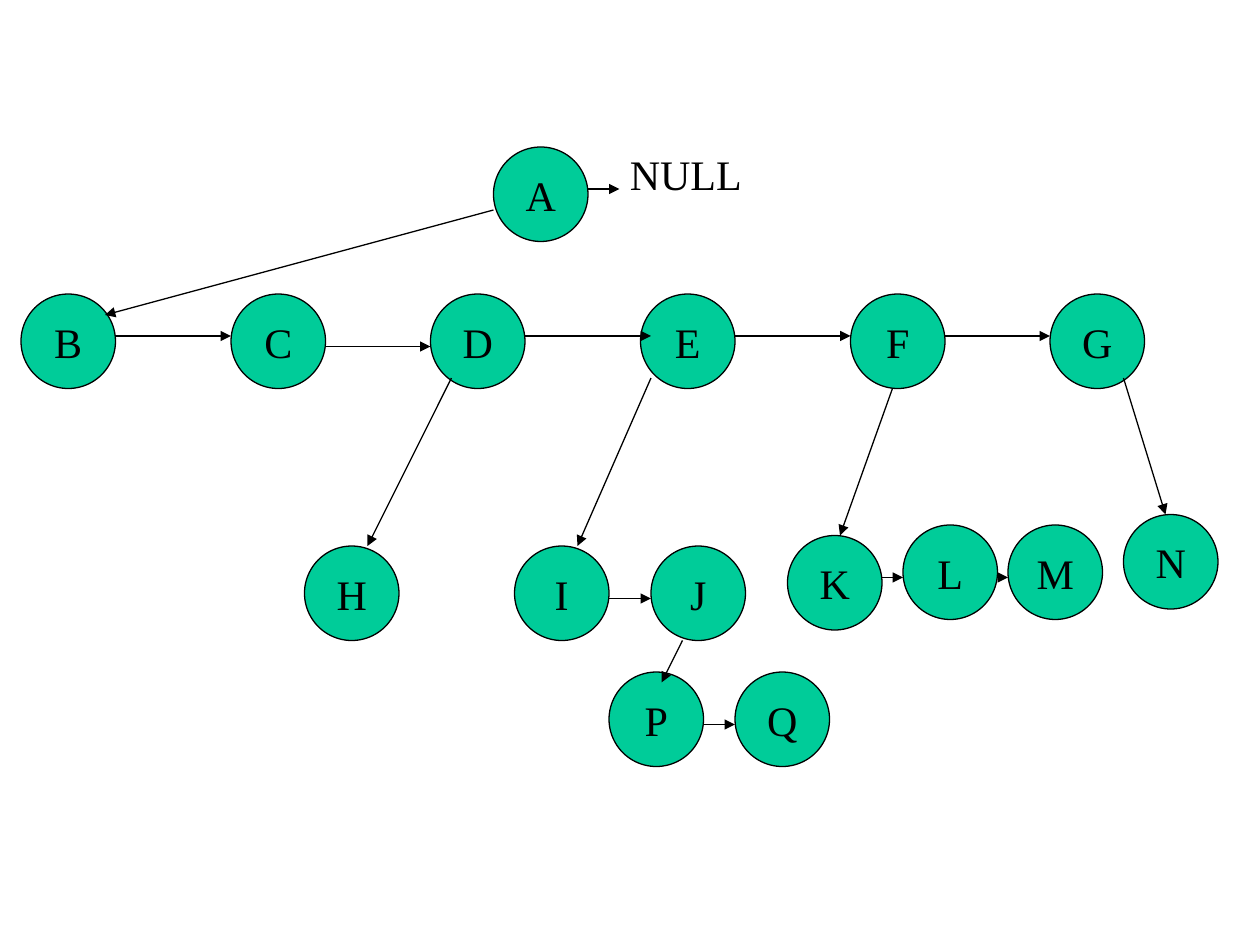
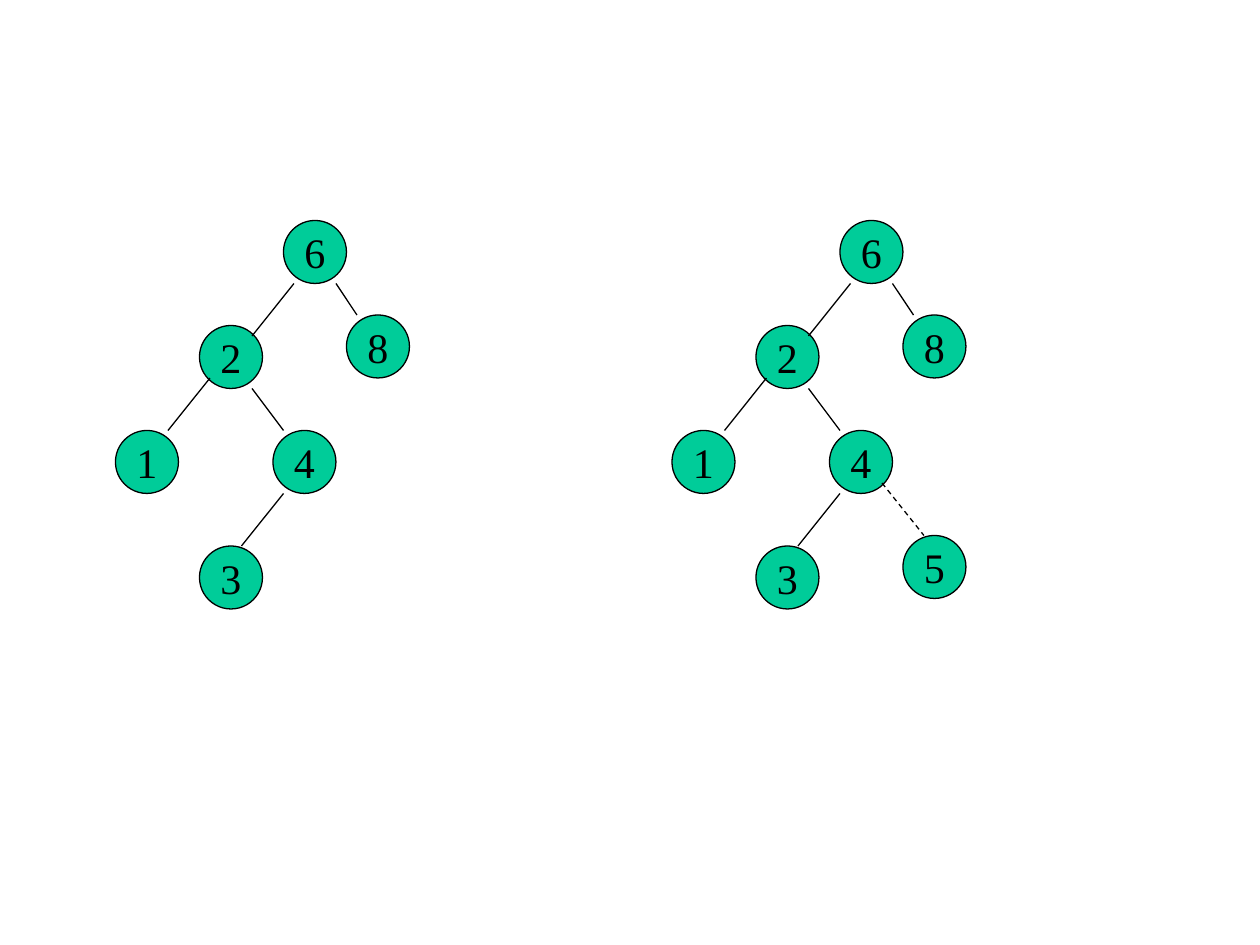
from lxml import etree
from pptx import Presentation
from pptx import util as u
from pptx.dml import color
from pptx.enum import dml, shapes, text
from pptx.oxml import ns

COLOURS = {"node": "00CC99", "ink": "000000"}
FONT = "Times New Roman"
FONT_SIZE = 24
LINE_WIDTH = 0.75

LETTER_SIZE = 54
CHILD_ROW_TOP = 168
LETTERS = {
    "A": (282, 84),
    **{name: (left, CHILD_ROW_TOP)
       for name, left in zip("BCDEFG", (12, 132, 246, 366, 486, 600))},
    "H": (174, 312), "I": (294, 312), "J": (372, 312),
    "K": (450, 306), "L": (516, 300), "M": (576, 300), "N": (642, 294),
    "P": (348, 384), "Q": (420, 384),
}
FIRST_CHILD_LINKS = [
    (282, 120, 60, 180), (258, 216, 210, 312), (372, 216, 330, 312),
    (390, 366, 378, 390), (510, 222, 480, 306), (642, 216, 666, 294),
]
SIBLING_LINKS = [
    (336, 354, 108), (66, 132, 192), (186, 246, 198), (300, 372, 192),
    (420, 486, 192), (540, 600, 192), (348, 372, 342), (402, 420, 414),
    (504, 516, 330), (570, 576, 330),
]

NUMBER_SIZE = 36
TREE_SHIFT = 318
NUMBERS = {
    "6": (162, 126), "2": (114, 186), "8": (198, 180),
    "1": (66, 246), "4": (156, 246), "3": (114, 312),
}
BRANCHES = [
    (168, 162, 144, 192), (192, 162, 204, 180), (120, 216, 96, 246),
    (144, 222, 162, 246), (162, 282, 138, 312),
]


def rgb(name):
    """Return the named colour."""
    return color.RGBColor.from_string(COLOURS[name])


def write(box, words, align=text.PP_ALIGN.LEFT, anchor=text.MSO_ANCHOR.TOP,
          fit=text.MSO_AUTO_SIZE.NONE, size=FONT_SIZE, ink="ink"):
    """Put formatted, unwrapped words in a box."""
    frame = box.text_frame
    frame.word_wrap = False
    frame.auto_size = fit
    frame.vertical_anchor = anchor
    para = frame.paragraphs[0]
    para.alignment = align
    span = para.add_run()
    span.text = words
    span.font.name = FONT
    span.font.size = u.Pt(size)
    span.font.color.rgb = rgb(ink)


def add_node(canvas, label, left, top, size):
    """Draw a labelled circle."""
    node = canvas.add_shape(shapes.MSO_SHAPE.OVAL, u.Pt(left), u.Pt(top),
                            u.Pt(size), u.Pt(size))
    node.shadow.inherit = False
    node.fill.solid()
    node.fill.fore_color.rgb = rgb("node")
    node.line.color.rgb = rgb("ink")
    node.line.width = u.Pt(LINE_WIDTH)
    write(node, label, align=text.PP_ALIGN.CENTER,
          anchor=text.MSO_ANCHOR.MIDDLE)


def add_link(canvas, ends, arrow=False, dashed=False):
    """Draw a straight line between two points."""
    link = canvas.add_connector(shapes.MSO_CONNECTOR.STRAIGHT,
                                *[u.Pt(value) for value in ends])
    link.line.color.rgb = rgb("ink")
    link.line.width = u.Pt(LINE_WIDTH)
    if dashed:
        link.line.dash_style = dml.MSO_LINE.DASH
    if arrow:
        etree.SubElement(link.line._get_or_add_ln(), ns.qn("a:tailEnd"),
                         type="triangle")
    etree.SubElement(link._element.spPr, ns.qn("a:effectLst"))


def add_label(canvas, words, left, top, width, height):
    """Add a text box that fits its words."""
    box = canvas.add_textbox(u.Pt(left), u.Pt(top), u.Pt(width), u.Pt(height))
    write(box, words, fit=text.MSO_AUTO_SIZE.SHAPE_TO_FIT_TEXT)


def add_number_tree(canvas, shift=0):
    """Draw the six-node search tree, moved right by shift."""
    for label, (left, top) in NUMBERS.items():
        add_node(canvas, label, left + shift, top, NUMBER_SIZE)
    for x1, y1, x2, y2 in BRANCHES:
        add_link(canvas, (x1 + shift, y1, x2 + shift, y2))


def build_sibling_page(page):
    """Show a tree as first-child and next-sibling links."""
    for label, (left, top) in LETTERS.items():
        add_node(page.shapes, label, left, top, LETTER_SIZE)
    for ends in FIRST_CHILD_LINKS:
        add_link(page.shapes, ends, arrow=True)
    for start, end, level in SIBLING_LINKS:
        add_link(page.shapes, (start, level, end, level), arrow=True)
    add_label(page.shapes, "NULL", 352.8, 81.4, 78.5, 36)


def build_insertion_page(page):
    """Show a search tree before and after inserting 5."""
    add_number_tree(page.shapes.add_group_shape().shapes)
    add_number_tree(page.shapes, TREE_SHIFT)
    add_node(page.shapes, "5", 516, 306, NUMBER_SIZE)
    add_link(page.shapes, (504, 276, 528, 306), dashed=True)


def main():
    """Build and save the deck."""
    deck = Presentation()
    deck.slide_width, deck.slide_height = u.Pt(720), u.Pt(540)
    for build in (build_sibling_page, build_insertion_page):
        build(deck.slides.add_slide(deck.slide_layouts[6]))
    deck.save("out.pptx")


if __name__ == "__main__":
    main()
